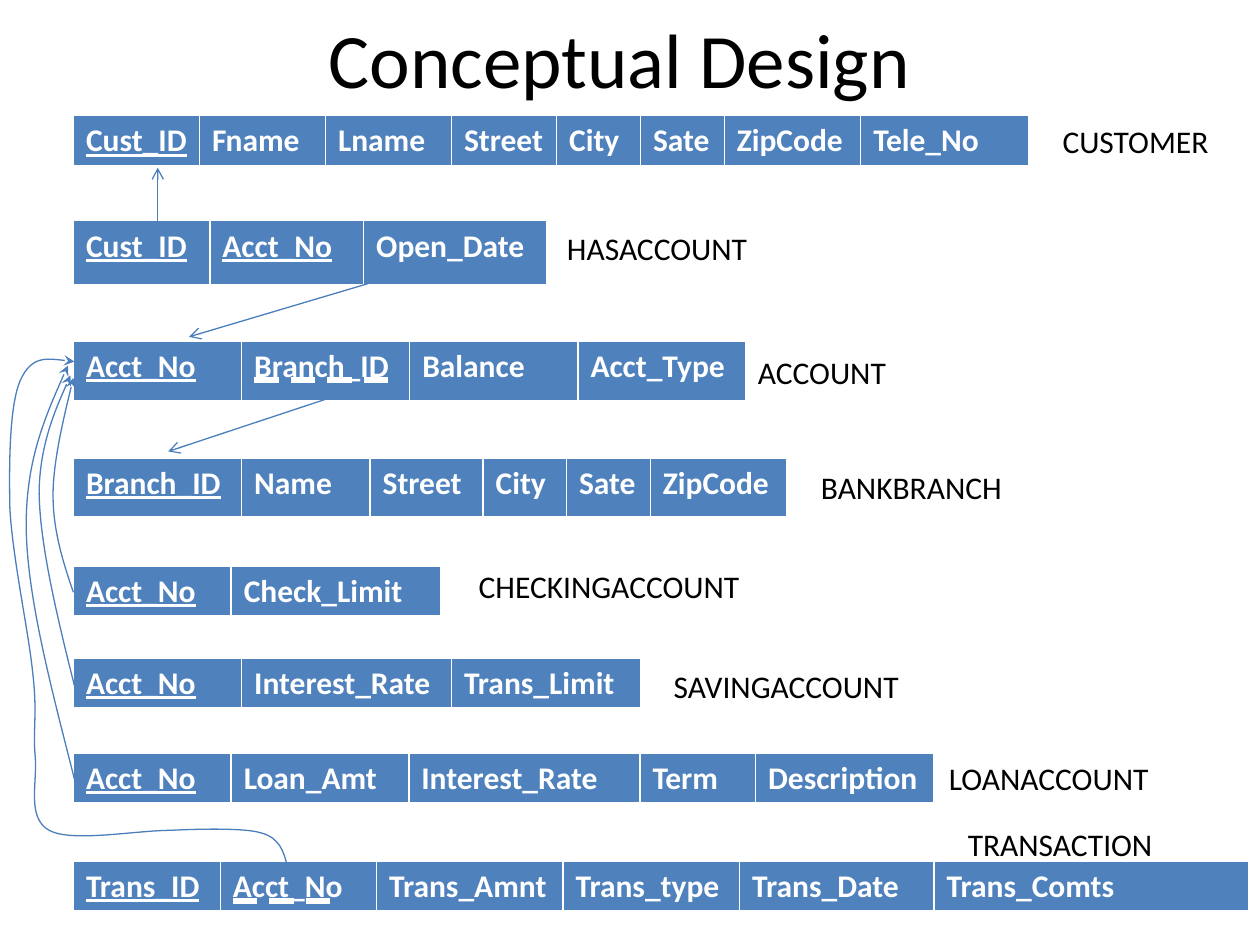
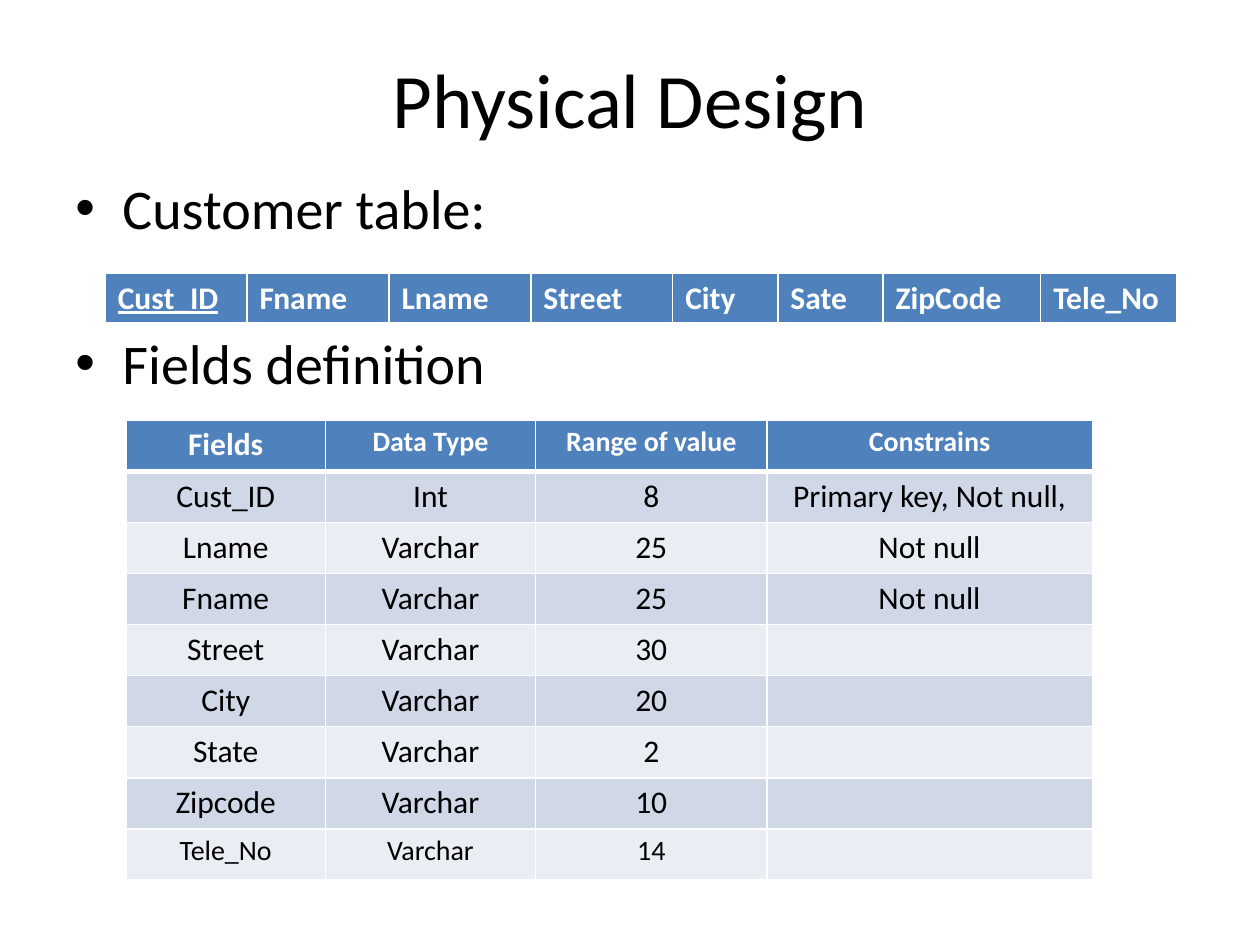
from dataclasses import dataclass

from lxml import etree
from pptx import Presentation
from pptx.dml.color import RGBColor
from pptx.enum.shapes import MSO_CONNECTOR
from pptx.enum.text import MSO_UNDERLINE, PP_ALIGN
from pptx.oxml.ns import qn
from pptx.util import Cm, Pt

STRAIGHT = MSO_CONNECTOR.STRAIGHT
CENTER, LEFT = PP_ALIGN.CENTER, PP_ALIGN.LEFT
PRIMARY = MSO_UNDERLINE.SINGLE_LINE
FOREIGN = MSO_UNDERLINE.DASH_HEAVY_LINE
TITLE_ONLY = 5


@dataclass(frozen=True)
class Theme:
    font: str = "Calibri"
    text: str = "000000"
    inverse: str = "FFFFFF"
    header: str = "4F81BD"
    bands: tuple = ("D0D8E8", "E9EDF4")
    link: str = "4B7EBC"
    title_size: int = 44
    bullet_size: int = 32
    body_size: int = 18
    small_size: int = 16
    link_width: float = 0.75
    rule: float = 1
    header_rule: float = 3


THEME = Theme()


@dataclass(frozen=True)
class Relation:
    """A schema row; all lengths are in cm and keys map fields to underlines."""
    name: str
    label_at: tuple
    top: float
    height: float
    fields: tuple
    widths: tuple
    keys: dict


CUSTOMER_FIELDS = ("Cust_ID", "Fname", "Lname", "Street", "City", "Sate", "ZipCode", "Tele_No")
CUSTOMER_KEYS = {"Cust_ID": PRIMARY}
ACCOUNT_KEY = {"Acct_No": PRIMARY}
SCHEMA_LEFT = 1.48

RELATIONS = (
    Relation("CUSTOMER", (21.17, 2.33, 3.81), 2.33, 1.04, CUSTOMER_FIELDS,
             (2.54, 2.54, 2.54, 2.12, 1.69, 1.69, 2.75, 3.39), CUSTOMER_KEYS),
    Relation("HASACCOUNT", (11.18, 4.5, 4.87), 4.45, 1.32,
             ("Cust_ID", "Acct_No", "Open_Date"), (2.75, 3.1, 3.69),
             CUSTOMER_KEYS | ACCOUNT_KEY),
    Relation("ACCOUNT", (15.03, 6.99, 4.87), 6.87, 1.24,
             ("Acct_No", "Branch_ID", "Balance", "Acct_Type"), (3.39,) * 4,
             ACCOUNT_KEY | {"Branch_ID": FOREIGN}),
    Relation("BANKBRANCH", (16.3, 9.32, 4.87), 9.23, 1.21,
             ("Branch_ID", "Name", "Street", "City", "Sate", "ZipCode"),
             (3.39, 2.59, 2.28, 1.68, 1.69, 2.76), {"Branch_ID": PRIMARY}),
    Relation("CHECKINGACCOUNT", (9.4, 11.3, 5.93), 11.41, 1.02,
             ("Acct_No", "Check_Limit"), (3.18, 4.23), ACCOUNT_KEY),
    Relation("SAVINGACCOUNT", (13.33, 13.33, 5.5), 13.26, 1.02,
             ("Acct_No", "Interest_Rate", "Trans_Limit"), (3.39, 4.23, 3.81), ACCOUNT_KEY),
    Relation("LOANACCOUNT", (18.88, 15.18, 5.5), 15.18, 1.02,
             ("Acct_No", "Loan_Amt", "Interest_Rate", "Term", "Description"),
             (3.18, 3.58, 4.66, 2.33, 3.6), ACCOUNT_KEY),
    Relation("TRANSACTION", (19.26, 16.51, 5.5), 17.36, 1.02,
             ("Trans_ID", "Acct_No", "Trans_Amnt", "Trans_type", "Trans_Date", "Trans_Comts"),
             (2.96, 3.15, 3.76, 3.56, 3.92, 6.35),
             {"Trans_ID": PRIMARY, "Acct_No": FOREIGN}),
)

STRAIGHT_LINKS = (
    ((3.18, 4.45), (3.18, 3.38)),
    ((7.41, 5.72), (3.81, 6.79)),
    ((6.56, 8.05), (3.39, 9.1)),
)

# Each curve is a start point followed by Bezier triples: two controls, one end.
CURVED_LINKS = (
    ((1.48, 11.94),
     (1.27, 11.33), (1.07, 10.69), (1.07, 9.98),
     (1.07, 9.25), (1.48, 7.62), (1.48, 7.62)),
    ((1.5, 13.82),
     (1.15, 12.42), (0.81, 11), (0.79, 9.96),
     (0.79, 8.92), (1.42, 7.57), (1.42, 7.57)),
    ((1.5, 15.7),
     (1.04, 13.89), (0.56, 12.09), (0.53, 10.69),
     (0.51, 9.32), (0.94, 8.33), (1.37, 7.37)),
    ((5.79, 17.45),
     (5.72, 17.17), (5.64, 16.89), (5.26, 16.79),
     (4.85, 16.66), (3.45, 16.74), (3.45, 16.74),
     (2.74, 16.74), (1.45, 16.99), (0.99, 16.74),
     (0.53, 16.48), (0.76, 15.77), (0.71, 15.24),
     (0.66, 14.71), (0.76, 14.4), (0.66, 13.56),
     (0.58, 12.75), (0.25, 11.23), (0.2, 10.24),
     (0.18, 9.25), (0.2, 8.15), (0.41, 7.67),
     (0.64, 7.16), (1.07, 7.24), (1.5, 7.29)),
)

FIELD_DEFINITIONS = (
    ("Fields", "Data Type", "Range of value", "Constrains"),
    ("Cust_ID", "Int", "8", "Primary key, Not null,"),
    ("Lname", "Varchar", "25", "Not null"),
    ("Fname", "Varchar", "25", "Not null"),
    ("Street", "Varchar", "30", ""),
    ("City", "Varchar", "20", ""),
    ("State", "Varchar", "2", ""),
    ("Zipcode", "Varchar", "10", ""),
    ("Tele_No", "Varchar", "14", ""),
)


def write_text(paragraph, text, size=THEME.body_size, color=THEME.text, bold=False,
               underline=None, align=LEFT, spacing=None, before=None):
    paragraph.alignment = align
    if spacing:
        paragraph.line_spacing = spacing
    if before is not None:
        paragraph.space_before = Pt(before)
    # An empty cell keeps its size on the paragraph.
    font = paragraph.font
    if text:
        run = paragraph.add_run()
        run.text = text
        font = run.font
    font.name, font.size, font.bold = THEME.font, Pt(size), bold
    font.underline = underline
    font.color.rgb = RGBColor.from_string(color)


def add_titled_slide(prs, title, left, top, width, height):
    slide = prs.slides.add_slide(prs.slide_layouts[TITLE_ONLY])
    heading = slide.shapes.title
    heading.left, heading.top = Cm(left), Cm(top)
    heading.width, heading.height = Cm(width), Cm(height)
    write_text(heading.text_frame.paragraphs[0], title, size=THEME.title_size, align=CENTER)
    return slide


def add_text_area(slide, left, top, width, height):
    area = slide.shapes.add_textbox(Cm(left), Cm(top), Cm(width), Cm(height))
    area.text_frame.word_wrap = True
    return area.text_frame


def add_grid(slide, left, top, widths, row_height, row_count):
    table = slide.shapes.add_table(row_count, len(widths), Cm(left), Cm(top),
                                   Cm(sum(widths)), Cm(row_height * row_count)).table
    for column, width in zip(table.columns, widths):
        column.width = Cm(width)
    for row in table.rows:
        row.height = Cm(row_height)
    return table


def paint_cell(cell, fill, bottom_rule=THEME.rule, top_rule=THEME.rule):
    properties = cell._tc.get_or_add_tcPr()
    rules = (("a:lnL", THEME.rule), ("a:lnR", THEME.rule),
             ("a:lnT", top_rule), ("a:lnB", bottom_rule))
    for tag, weight in rules:
        edge = etree.SubElement(properties, qn(tag), w=str(Pt(weight)))
        solid = etree.SubElement(edge, qn("a:solidFill"))
        etree.SubElement(solid, qn("a:srgbClr"), val=THEME.inverse)
    cell.fill.solid()
    cell.fill.fore_color.rgb = RGBColor.from_string(fill)


def add_field_row(slide, left, top, height, fields, widths, keys):
    table = add_grid(slide, left, top, widths, height, 1)
    for cell, field in zip(table.rows[0].cells, fields):
        paint_cell(cell, THEME.header, THEME.header_rule)
        write_text(cell.text_frame.paragraphs[0], field, color=THEME.inverse,
                   bold=True, underline=keys.get(field))


def add_definition_table(slide, left, top, widths, row_height):
    last = len(FIELD_DEFINITIONS) - 1
    table = add_grid(slide, left, top, widths, row_height, last + 1)
    for r, values in enumerate(FIELD_DEFINITIONS):
        is_header = r == 0
        fill = THEME.header if is_header else THEME.bands[(r - 1) % 2]
        for c, value in enumerate(values):
            cell = table.cell(r, c)
            paint_cell(cell, fill,
                       bottom_rule=THEME.header_rule if is_header else THEME.rule,
                       top_rule=THEME.header_rule if r == 1 else THEME.rule)
            cell.margin_left = cell.margin_right = Cm(0.18)
            cell.margin_top = cell.margin_bottom = 0
            is_small = r == last or (is_header and c > 0)
            write_text(cell.text_frame.paragraphs[0], value,
                       size=THEME.small_size if is_small else THEME.body_size,
                       color=THEME.inverse if is_header else THEME.text,
                       bold=is_header, align=CENTER, spacing=1.15)


def style_link(link, head):
    link.line.color.rgb = RGBColor.from_string(THEME.link)
    link.line.width = Pt(THEME.link_width)
    etree.SubElement(link.line._get_or_add_ln(), qn("a:tailEnd"), type=head)


def add_straight_link(slide, start, end):
    link = slide.shapes.add_connector(STRAIGHT, *map(Cm, start + end))
    style_link(link, "arrow")
    etree.SubElement(link._element.spPr, qn("a:effectLst"))


def add_curved_link(slide, points):
    """Lay the points out as a polyline, then merge each triple into a Bezier."""
    start, *rest = [(Cm(x), Cm(y)) for x, y in points]
    builder = slide.shapes.build_freeform(*start)
    builder.add_line_segments(rest, close=False)
    link = builder.convert_to_shape()
    outline = next(link._element.iter(qn("a:path")))
    segments = outline.findall(qn("a:lnTo"))
    for i in range(0, len(segments), 3):
        curve = etree.SubElement(outline, qn("a:cubicBezTo"))
        for segment in segments[i:i + 3]:
            curve.append(segment[0])
            outline.remove(segment)
    link.fill.background()
    style_link(link, "stealth")
    link.shadow.inherit = False


def add_bullet(paragraph, text, before):
    write_text(paragraph, text, size=THEME.bullet_size, before=before)
    properties = paragraph._p.get_or_add_pPr()
    properties.set("marL", str(Cm(0.95)))
    properties.set("indent", str(-Cm(0.95)))
    etree.SubElement(properties, qn("a:buFont"), typeface="Arial")
    etree.SubElement(properties, qn("a:buChar"), char="•")


def build_conceptual_design(prs):
    slide = add_titled_slide(prs, "Conceptual Design", 1.06, 0, 22.86, 2.33)
    for relation in RELATIONS:
        add_field_row(slide, SCHEMA_LEFT, relation.top, relation.height,
                      relation.fields, relation.widths, relation.keys)
    for relation in RELATIONS:
        label = add_text_area(slide, *relation.label_at, 1.02)
        write_text(label.paragraphs[0], relation.name)
    for start, end in STRAIGHT_LINKS:
        add_straight_link(slide, start, end)
    for points in CURVED_LINKS:
        add_curved_link(slide, points)


def build_physical_design(prs):
    slide = add_titled_slide(prs, "Physical Design", 1.27, 0.76, 22.86, 2.41)
    topics = add_text_area(slide, 1.27, 3.38, 22.86, 12.57)
    add_bullet(topics.paragraphs[0], "Customer table:", before=6)
    add_bullet(topics.add_paragraph(), "Fields definition", before=50)
    add_field_row(slide, 2.12, 5.5, 1.04, CUSTOMER_FIELDS,
                  (2.86, 2.86, 2.86, 2.86, 2.12, 2.12, 3.18, 2.75), CUSTOMER_KEYS)
    add_definition_table(slide, 2.54, 8.47, (4.02, 4.24, 4.66, 6.56), 1.03)


def main():
    prs = Presentation()
    prs.slide_width, prs.slide_height = Cm(25.4), Cm(19.05)
    build_conceptual_design(prs)
    build_physical_design(prs)
    prs.save("out.pptx")


if __name__ == "__main__":
    main()
